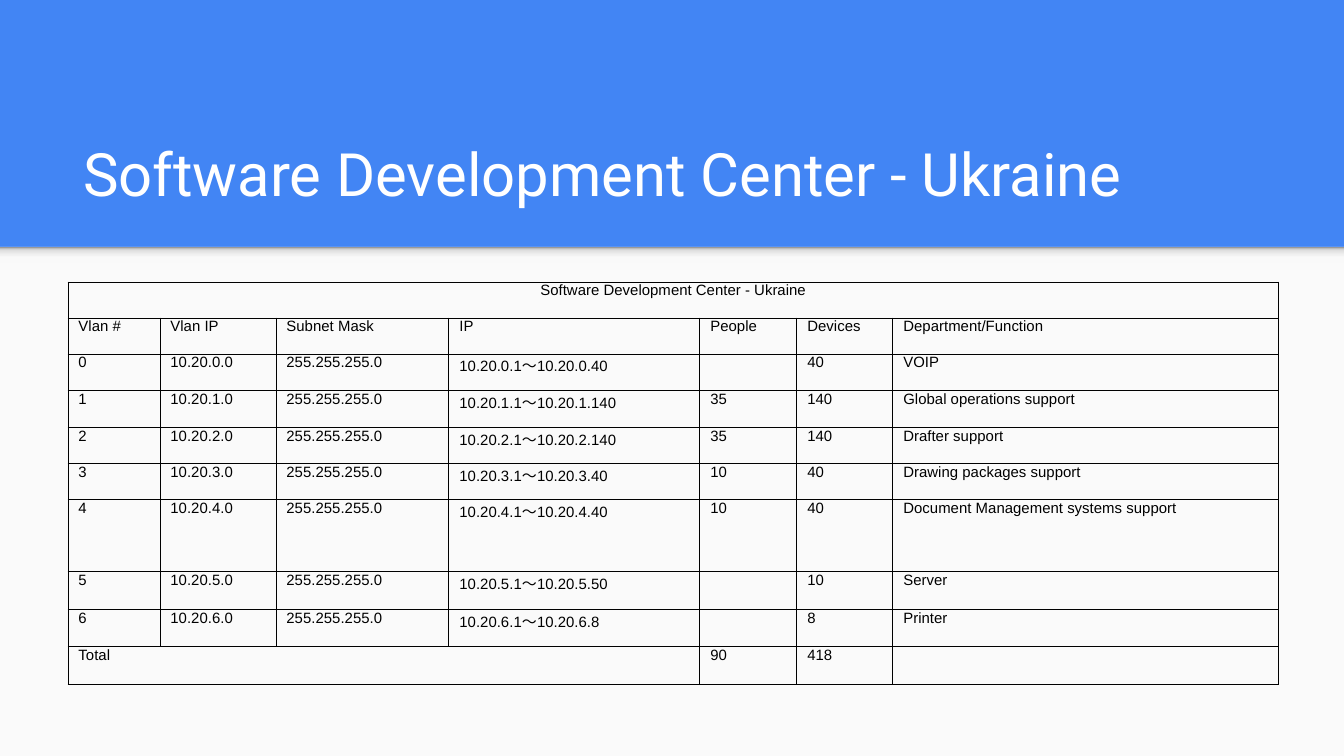
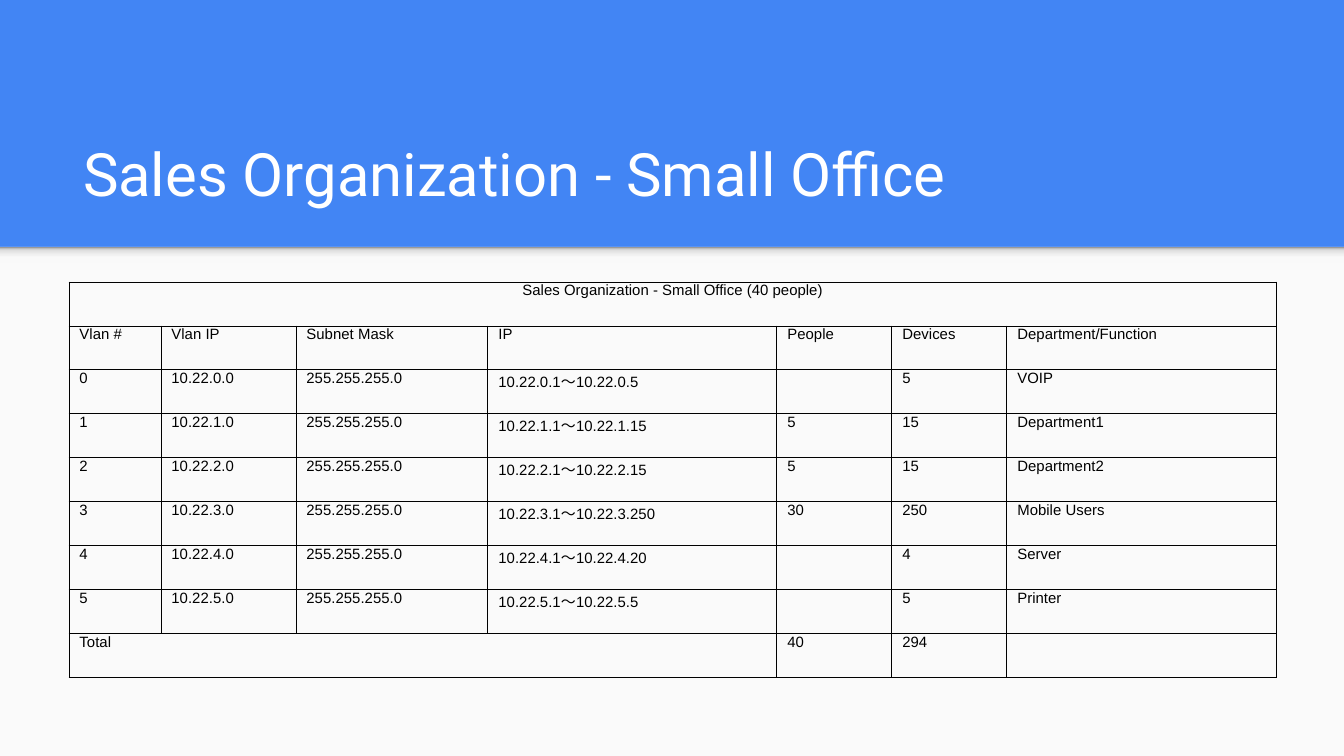
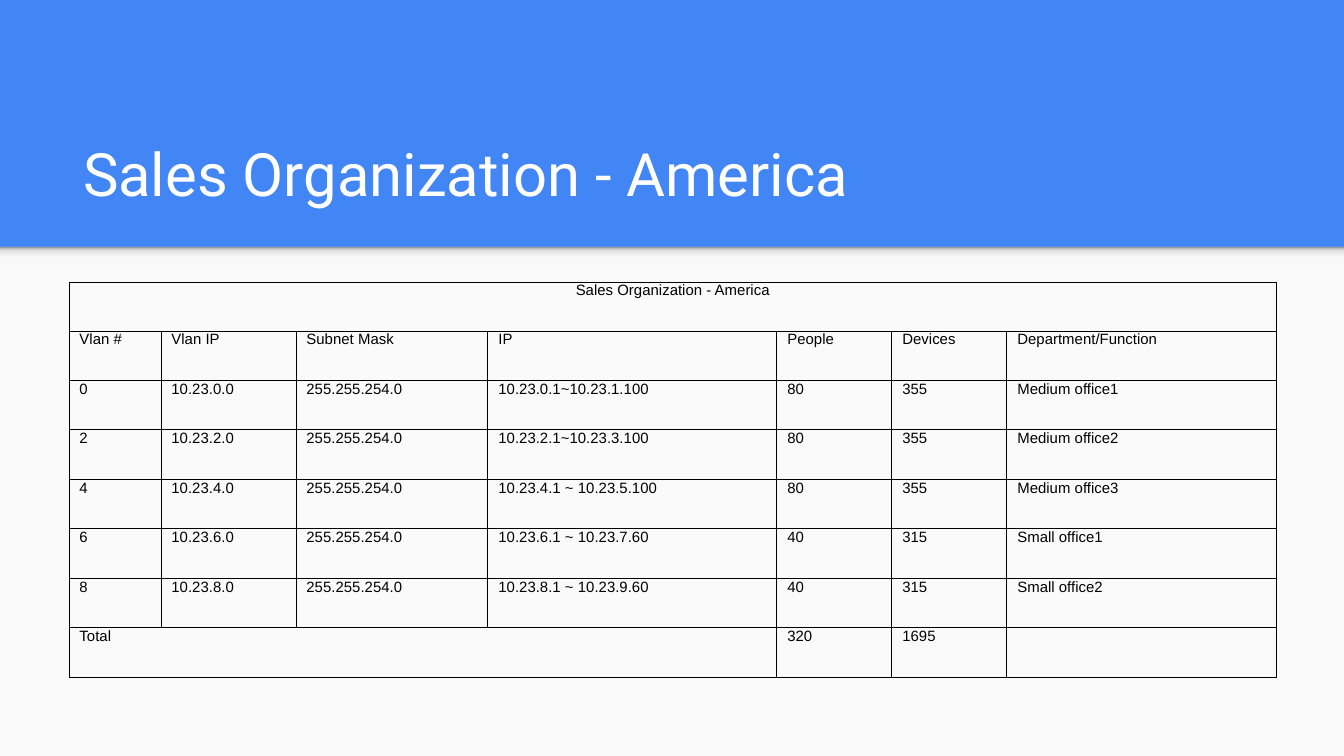
from dataclasses import dataclass

from lxml import etree
from pptx import Presentation
from pptx.dml.color import RGBColor
from pptx.enum.shapes import MSO_SHAPE
from pptx.enum.text import MSO_ANCHOR, MSO_AUTO_SIZE, PP_ALIGN
from pptx.oxml.ns import qn
from pptx.util import Emu, Pt

RECTANGLE = MSO_SHAPE.RECTANGLE
LEFT, CENTER = PP_ALIGN.LEFT, PP_ALIGN.CENTER
TOP, BOTTOM = MSO_ANCHOR.TOP, MSO_ANCHOR.BOTTOM
NO_AUTOFIT = MSO_AUTO_SIZE.NONE


@dataclass(frozen=True)
class Theme:
    header: str = "4285F4"
    page: str = "FAFAFA"
    title: str = "FFFFFF"
    ink: str = "000000"
    shadow: tuple = ((0, "F9F9F9"), (36, "F9F9F9"), (80, "DEDEDE"), (100, "999999"))
    title_font: str = "Roboto"
    table_font: str = "Arial"
    title_size: int = 32
    table_size: int = 8
    border: float = 0.5


THEME = Theme()

# Content
HEADINGS = ("Vlan #", "Vlan IP", "Subnet Mask", "IP", "People", "Devices",
            "Department/Function")
SALES_COLUMNS = (92, 135, 192, 289, 115, 115, 270)

NETWORKS = [
    {
        "title": "Software Development Center - Ukraine",
        "caption": "Software Development Center - Ukraine",
        "left": 68,
        "columns": (92, 116, 173, 251, 97, 96, 386),
        "heights": (36, 36, 37, 37, 36, 36, 72, 38, 37, 38),
        "vlans": [
            ("0", "10.20.0.0", "255.255.255.0", "10.20.0.1～10.20.0.40", "", "40", "VOIP"),
            ("1", "10.20.1.0", "255.255.255.0", "10.20.1.1～10.20.1.140", "35", "140",
             "Global operations support"),
            ("2", "10.20.2.0", "255.255.255.0", "10.20.2.1～10.20.2.140", "35", "140",
             "Drafter support"),
            ("3", "10.20.3.0", "255.255.255.0", "10.20.3.1～10.20.3.40", "10", "40",
             "Drawing packages support"),
            ("4", "10.20.4.0", "255.255.255.0", "10.20.4.1～10.20.4.40", "10", "40",
             "Document Management systems support"),
            ("5", "10.20.5.0", "255.255.255.0", "10.20.5.1～10.20.5.50", "", "10", "Server"),
            ("6", "10.20.6.0", "255.255.255.0", "10.20.6.1～10.20.6.8", "", "8", "Printer"),
        ],
        "totals": ("90", "418"),
    },
    {
        "title": "Sales Organization - Small Office",
        "caption": "Sales Organization - Small Office (40 people)",
        "left": 69,
        "columns": SALES_COLUMNS,
        "heights": (44,) * 9,
        "vlans": [
            ("0", "10.22.0.0", "255.255.255.0", "10.22.0.1～10.22.0.5", "", "5", "VOIP"),
            ("1", "10.22.1.0", "255.255.255.0", "10.22.1.1～10.22.1.15", "5", "15",
             "Department1"),
            ("2", "10.22.2.0", "255.255.255.0", "10.22.2.1～10.22.2.15", "5", "15",
             "Department2"),
            ("3", "10.22.3.0", "255.255.255.0", "10.22.3.1～10.22.3.250", "30", "250",
             "Mobile Users"),
            ("4", "10.22.4.0", "255.255.255.0", "10.22.4.1～10.22.4.20", "", "4", "Server"),
            ("5", "10.22.5.0", "255.255.255.0", "10.22.5.1～10.22.5.5", "", "5", "Printer"),
        ],
        "totals": ("40", "294"),
    },
    {
        "title": "Sales Organization - America",
        "caption": "Sales Organization - America",
        "left": 69,
        "columns": SALES_COLUMNS,
        "heights": (49, 50) * 4,
        "vlans": [
            ("0", "10.23.0.0", "255.255.254.0", "10.23.0.1~10.23.1.100", "80", "355",
             "Medium office1"),
            ("2", "10.23.2.0", "255.255.254.0", "10.23.2.1~10.23.3.100", "80", "355",
             "Medium office2"),
            ("4", "10.23.4.0", "255.255.254.0", "10.23.4.1 ~ 10.23.5.100", "80", "355",
             "Medium office3"),
            ("6", "10.23.6.0", "255.255.254.0", "10.23.6.1 ~ 10.23.7.60", "40", "315",
             "Small office1"),
            ("8", "10.23.8.0", "255.255.254.0", "10.23.8.1 ~ 10.23.9.60", "40", "315",
             "Small office2"),
        ],
        "totals": ("320", "1695"),
    },
]

# Layout, in pixels
WIDTH, HEIGHT = 1344, 756
PAGE_TOP, SHADOW_HEIGHT = 247, 16
TITLE_BOX = (70, 109, 1208, 113)
TITLE_INSET, CELL_INSET = 13, 10.5
TABLE_TOP = 282


def px(length):
    return Emu(round(length * 914400 / 134.4))


def rgb(color):
    return RGBColor.from_string(color)


def write(frame, text, *, font, size, color, align=LEFT):
    paragraph = frame.paragraphs[0]
    paragraph.alignment = align
    if not text:
        # An empty cell still needs its type size, or the row grows
        etree.SubElement(paragraph._p, qn("a:endParaRPr"), sz=str(size * 100))
        return
    run = paragraph.add_run()
    run.text = text
    run.font.name, run.font.size = font, Pt(size)
    run.font.color.rgb = rgb(color)


def set_insets(box, across, down):
    box.margin_left = box.margin_right = px(across)
    box.margin_top = box.margin_bottom = px(down)


def add_band(slide, top, height):
    band = slide.shapes.add_shape(RECTANGLE, 0, px(top), px(WIDTH), px(height))
    band.shadow.inherit = False
    band.line.fill.background()
    return band


def fill_shadow(band):
    band.fill.gradient()
    band.fill.gradient_angle = 90
    stops = band.element.spPr.find(".//" + qn("a:gsLst"))
    stops.clear()
    for position, color in THEME.shadow:
        stop = etree.SubElement(stops, qn("a:gs"), pos=str(position * 1000))
        etree.SubElement(stop, qn("a:srgbClr"), val=color)


def style_layout(layout, slide):
    """Set the blue header, pale page and its shadow once, behind every slide."""
    layout.background.fill.solid()
    layout.background.fill.fore_color.rgb = rgb(THEME.header)
    page = add_band(slide, PAGE_TOP, HEIGHT - PAGE_TOP)
    page.fill.solid()
    page.fill.fore_color.rgb = rgb(THEME.page)
    shadow = add_band(slide, PAGE_TOP, SHADOW_HEIGHT)
    fill_shadow(shadow)
    for depth, band in enumerate((page, shadow)):
        layout.shapes.element.insert(2 + depth, band.element)


def add_title(slide, text):
    title = slide.shapes.title
    title.left, title.top, title.width, title.height = map(px, TITLE_BOX)
    frame = title.text_frame
    frame.word_wrap, frame.auto_size = True, NO_AUTOFIT
    frame.vertical_anchor = BOTTOM
    set_insets(frame, TITLE_INSET, TITLE_INSET)
    write(frame, text, font=THEME.title_font, size=THEME.title_size, color=THEME.title)


def style_cell(cell):
    set_insets(cell, CELL_INSET, 0)
    cell.vertical_anchor = TOP
    properties = cell._tc.get_or_add_tcPr()
    for side in ("lnL", "lnR", "lnT", "lnB"):
        line = etree.SubElement(properties, qn("a:" + side), w=str(Pt(THEME.border)))
        solid = etree.SubElement(line, qn("a:solidFill"))
        etree.SubElement(solid, qn("a:srgbClr"), val=THEME.ink)
    cell.fill.background()


def add_vlan_table(slide, network):
    columns, heights = network["columns"], network["heights"]
    rows = [(network["caption"],) + ("",) * 6, HEADINGS, *network["vlans"],
            ("Total", "", "", "", *network["totals"], "")]
    table = slide.shapes.add_table(
        len(rows), len(columns), px(network["left"]), px(TABLE_TOP),
        px(sum(columns)), px(sum(heights))).table
    table.first_row = table.horz_banding = False
    for column, width in zip(table.columns, columns):
        column.width = px(width)
    for row, height in zip(table.rows, heights):
        row.height = px(height)
    for r, values in enumerate(rows):
        for c, value in enumerate(values):
            cell = table.cell(r, c)
            style_cell(cell)
            write(cell.text_frame, value, font=THEME.table_font, size=THEME.table_size,
                  color=THEME.ink, align=LEFT if r else CENTER)
    last = len(rows) - 1
    table.cell(0, 0).merge(table.cell(0, len(columns) - 1))
    table.cell(last, 0).merge(table.cell(last, 3))


# Build the slides
deck = Presentation()
deck.slide_width, deck.slide_height = px(WIDTH), px(HEIGHT)
title_only = deck.slide_layouts[5]
for index, network in enumerate(NETWORKS):
    slide = deck.slides.add_slide(title_only)
    if index == 0:
        style_layout(title_only, slide)
    add_title(slide, network["title"])
    add_vlan_table(slide, network)
deck.save("out.pptx")
